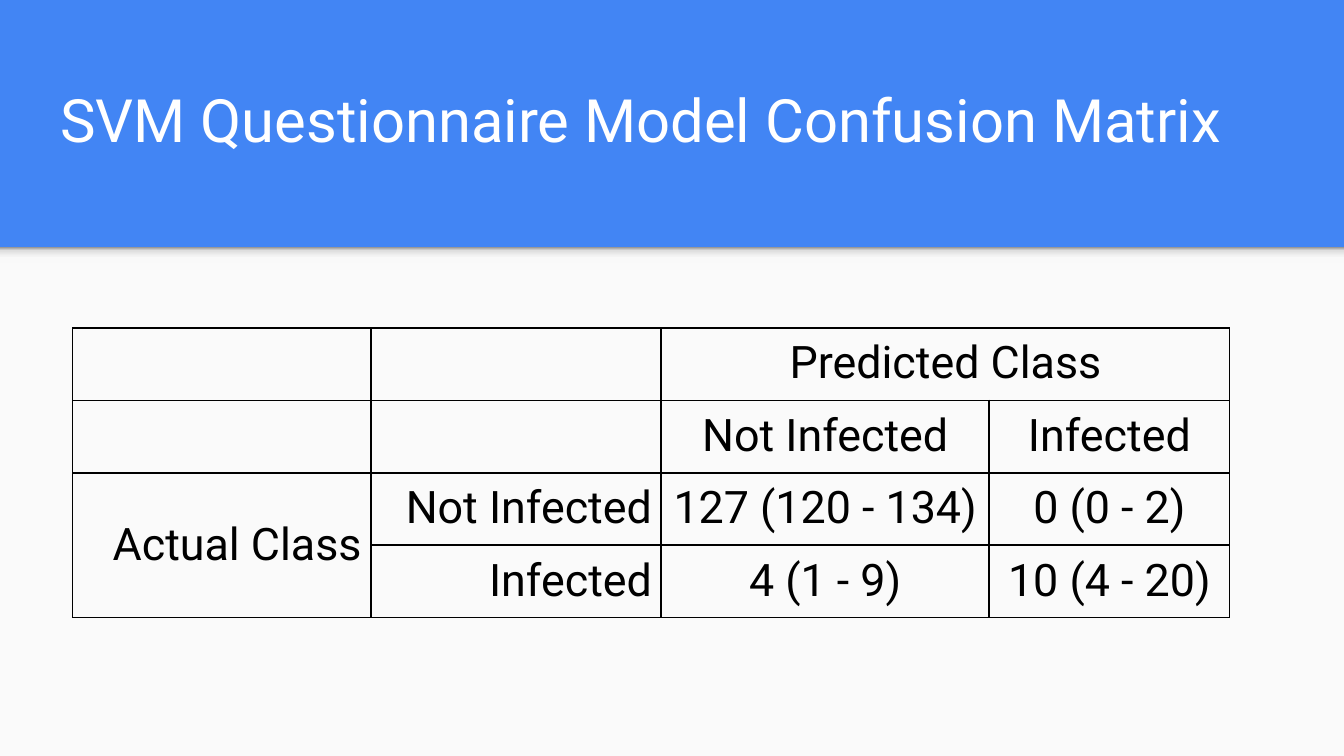
from lxml import etree
from pptx import Presentation, util as u
from pptx.dml.color import RGBColor
from pptx.enum import shapes, text
from pptx.oxml import parse_xml
from pptx.oxml.ns import nsdecls, qn

# Content
TITLE = "SVM Questionnaire Model Confusion Matrix"
MATRIX = [
    ["", "", "Predicted Class", ""],
    ["", "", "Not Infected", "Infected"],
    ["Actual Class", "Not Infected", "127 (120 - 134)", "0 (0 - 2)"],
    ["", "Infected", "4 (1 - 9)", "10 (4 - 20)"],
]
MERGES = [((0, 2), (0, 3)), ((2, 0), (3, 0))]
LABELS = 2  # label columns on the left, and header rows on top

# Style and geometry
COLORS = {"band": "4285F4", "body": "FAFAFA", "title": "FFFFFF", "ink": "000000"}
SHADOW_STOPS = [(0, "F9F9F9"), (36, "F9F9F9"), (80, "DEDEDE"), (100, "999999")]
FONT = "Roboto"
WIDTH = 10
HEIGHT = WIDTH * 9 / 16
BAND = 1.84
COLUMNS = [2.22, 2.16, 2.44, 1.79]
ROW = 0.42  # least height; rows grow to fit their text
CELL_MARGIN = u.Pt(5)
THIN, THICK = 0.75, 1


def color(name):
    return RGBColor.from_string(COLORS[name])


def box(left, top, width, height):
    return [u.Inches(n) for n in (left, top, width, height)]


def write(frame, words, size, ink, align):
    paragraph = frame.paragraphs[0]
    paragraph.alignment = align
    run = paragraph.add_run()
    run.text = words
    run.font.size, run.font.name = u.Pt(size), FONT
    run.font.color.rgb = color(ink)


def add_panel(slide, top, height):
    panel = slide.shapes.add_shape(
        shapes.MSO_SHAPE.RECTANGLE, *box(0, top, WIDTH, height))
    panel.shadow.inherit = False
    panel.line.fill.background()
    panel.fill.solid()
    panel.fill.fore_color.rgb = color("body")
    return panel


def add_borders(cell, row, col):
    blank = row < LABELS and col < LABELS
    inner = {"R": col == LABELS - 1, "B": row == LABELS - 1}
    properties = cell._tc.get_or_add_tcPr()
    for place, side in enumerate("LRTB"):
        weight = THIN if blank and not inner.get(side) else THICK
        line = etree.Element(qn(f"a:ln{side}"), w=str(u.Pt(weight)))
        fill = etree.SubElement(line, qn("a:solidFill"))
        etree.SubElement(fill, qn("a:srgbClr"), val=COLORS["ink"])
        properties.insert(place, line)


deck = Presentation()
deck.slide_width, deck.slide_height = u.Inches(WIDTH), u.Inches(HEIGHT)
slide = deck.slides.add_slide(deck.slide_layouts[6])
slide.background.fill.solid()
slide.background.fill.fore_color.rgb = color("band")

# Body panel, with a soft shadow under the title band
add_panel(slide, BAND, HEIGHT - BAND)
shadow = add_panel(slide, BAND, 0.12)
stops = "".join(f'<a:gs pos="{at * 1000}"><a:srgbClr val="{tone}"/></a:gs>'
                for at, tone in SHADOW_STOPS)
solid = shadow._element.spPr.find(qn("a:solidFill"))
solid.getparent().replace(solid, parse_xml(
    f'<a:gradFill {nsdecls("a")}><a:gsLst>{stops}</a:gsLst>'
    '<a:lin ang="16200000" scaled="0"/></a:gradFill>'))

# Title
heading = slide.shapes.add_textbox(*box(0.35, 0.67, 8.99, 0.58)).text_frame
heading.word_wrap = True
heading.vertical_anchor = text.MSO_ANCHOR.BOTTOM
heading.margin_left = heading.margin_right = u.Inches(0.1)
heading.margin_top = heading.margin_bottom = u.Inches(0.1)
write(heading, TITLE, 32, "title", text.PP_ALIGN.LEFT)

# Confusion matrix
holder = slide.shapes.add_table(
    len(MATRIX), len(COLUMNS),
    *box(0.54, 2.44, sum(COLUMNS), ROW * len(MATRIX)))
matrix = holder.table
matrix.first_row = matrix.horz_banding = False
for column, width in zip(matrix.columns, COLUMNS):
    column.width = u.Inches(width)
for row in matrix.rows:
    row.height = u.Inches(ROW)
holder.height = u.Inches(2.16)
for first, last in MERGES:
    matrix.cell(*first).merge(matrix.cell(*last))

for r, values in enumerate(MATRIX):
    for c, value in enumerate(values):
        cell = matrix.cell(r, c)
        cell.fill.background()
        add_borders(cell, r, c)
        cell.margin_left = cell.margin_right = CELL_MARGIN
        cell.margin_top = cell.margin_bottom = CELL_MARGIN
        if value:
            align = text.PP_ALIGN.RIGHT if c < LABELS else text.PP_ALIGN.CENTER
            write(cell.text_frame, value, 24, "ink", align)
        if c == 0 and value:
            cell.vertical_anchor = text.MSO_ANCHOR.MIDDLE

deck.save("out.pptx")
